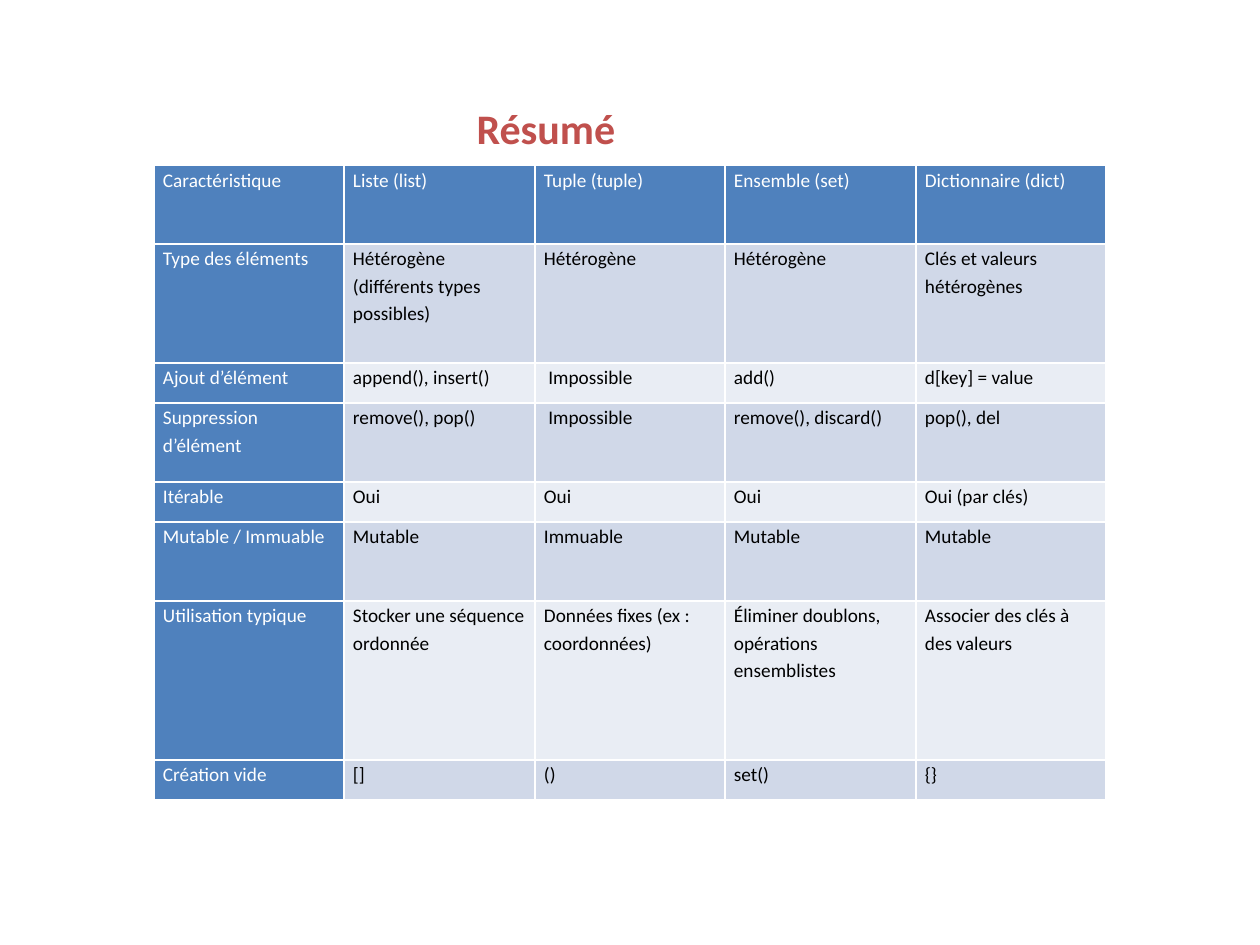
"""Build a one-slide summary comparing Python collection types."""
from dataclasses import dataclass

import pptx
import pptx.dml.color
import pptx.enum.text
import pptx.oxml
import pptx.oxml.ns
import pptx.util

RGBColor = pptx.dml.color.RGBColor
WHITE = RGBColor(0xFF, 0xFF, 0xFF)
BLACK = RGBColor(0x00, 0x00, 0x00)
RED = RGBColor(0xC0, 0x50, 0x4D)
BLUE = RGBColor(0x4F, 0x81, 0xBD)
BANDS = (RGBColor(0xE9, 0xED, 0xF4), RGBColor(0xD0, 0xD8, 0xE8))

PIXELS_PER_INCH = 126
COLUMN_WIDTHS = (190, 191, 190, 191, 190)
TITLE_FORMAT = {"name": "Calibri", "size": pptx.util.Pt(24), "bold": True}
CELL_FORMAT = {"name": "Calibri", "size": pptx.util.Pt(11), "bold": False}


@dataclass(frozen=True)
class Row:
    """One table row: its height in px and its texts."""

    height: int
    texts: tuple[str, ...]


ROWS = (
    Row(79, ("Caractéristique", "Liste (list)", "Tuple (tuple)",
             "Ensemble (set)", "Dictionnaire (dict)")),
    Row(119, ("Type des éléments", "Hétérogène (différents types possibles)",
              "Hétérogène", "Hétérogène", "Clés et valeurs hétérogènes")),
    Row(40, ("Ajout d’élément", "append(), insert()", " Impossible",
             "add()", "d[key] = value")),
    Row(79, ("Suppression d’élément", "remove(), pop()", " Impossible",
             "remove(), discard()", "pop(), del")),
    Row(40, ("Itérable", "Oui", "Oui", "Oui", "Oui (par clés)")),
    Row(79, ("Mutable / Immuable", "Mutable", "Immuable", "Mutable", "Mutable")),
    Row(159, ("Utilisation typique", "Stocker une séquence ordonnée",
              "Données fixes (ex : coordonnées)",
              "Éliminer doublons, opérations ensemblistes",
              "Associer des clés à des valeurs")),
    Row(40, ("Création vide", "[]", "()", "set()", "{}")),
)


def px(length: int) -> pptx.util.Emu:
    """Turn px into EMU."""
    return pptx.util.Emu(round(length * 914400 / PIXELS_PER_INCH))


def set_values(target: object, values: dict) -> None:
    """Set each named attribute of the target."""
    for name, value in values.items():
        setattr(target, name, value)


def write_text(para, text: str, values: dict, color: RGBColor) -> None:
    """Add one formatted span to a paragraph."""
    span = para.add_run()
    span.text = text
    set_values(span.font, values)
    span.font.color.rgb = color


def add_borders(cell, color: RGBColor) -> None:
    """Draw a one-point line on the four sides of a cell."""
    properties = cell._tc.get_or_add_tcPr()
    for side in ("L", "R", "T", "B"):
        properties.append(pptx.oxml.parse_xml(
            f'<a:ln{side} {pptx.oxml.ns.nsdecls("a")} w="{pptx.util.Pt(1)}">'
            f'<a:solidFill><a:srgbClr val="{color}"/></a:solidFill></a:ln{side}>'))


def fill_cell(cell, text: str, fill: RGBColor, color: RGBColor) -> None:
    """Write and colour one table cell."""
    set_values(cell, {"margin_left": px(9), "margin_right": px(9),
                      "margin_top": 0, "margin_bottom": 0})
    add_borders(cell, WHITE)
    cell.fill.solid()
    cell.fill.fore_color.rgb = fill
    para = cell.text_frame.paragraphs[0]
    para.line_spacing = 1.15
    write_text(para, text, CELL_FORMAT, color)


def add_title(page, text: str) -> None:
    """Place and write the slide title."""
    title = page.shapes.title
    set_values(title, {"left": px(372), "top": px(96),
                       "width": px(348), "height": px(63)})
    set_values(title.text_frame, {
        "word_wrap": True,
        "auto_size": pptx.enum.text.MSO_AUTO_SIZE.NONE,
        "vertical_anchor": pptx.enum.text.MSO_ANCHOR.TOP})
    para = title.text_frame.paragraphs[0]
    para.alignment = pptx.enum.text.PP_ALIGN.CENTER
    write_text(para, text, TITLE_FORMAT, RED)


def add_comparison(page, rows: tuple[Row, ...]) -> None:
    """Draw the comparison table with banded body rows."""
    height = sum(row.height for row in rows)
    table = page.shapes.add_table(
        len(rows), len(COLUMN_WIDTHS), px(154), px(165),
        px(sum(COLUMN_WIDTHS)), px(height)).table
    set_values(table, {"first_row": False, "horz_banding": False})
    for column, width in zip(table.columns, COLUMN_WIDTHS):
        column.width = px(width)
    for row_index, row in enumerate(rows):
        table.rows[row_index].height = px(row.height)
        for column_index, text in enumerate(row.texts):
            heading = row_index == 0 or column_index == 0
            fill_cell(table.cell(row_index, column_index), text,
                      BLUE if heading else BANDS[row_index % 2],
                      WHITE if heading else BLACK)


def main() -> None:
    """Build and save the deck."""
    deck = pptx.Presentation()
    set_values(deck, {"slide_width": px(1260), "slide_height": px(945)})
    page = deck.slides.add_slide(deck.slide_layouts.get_by_name("Title Only"))
    add_title(page, "Résumé")
    add_comparison(page, ROWS)
    deck.save("out.pptx")


if __name__ == "__main__":
    main()
